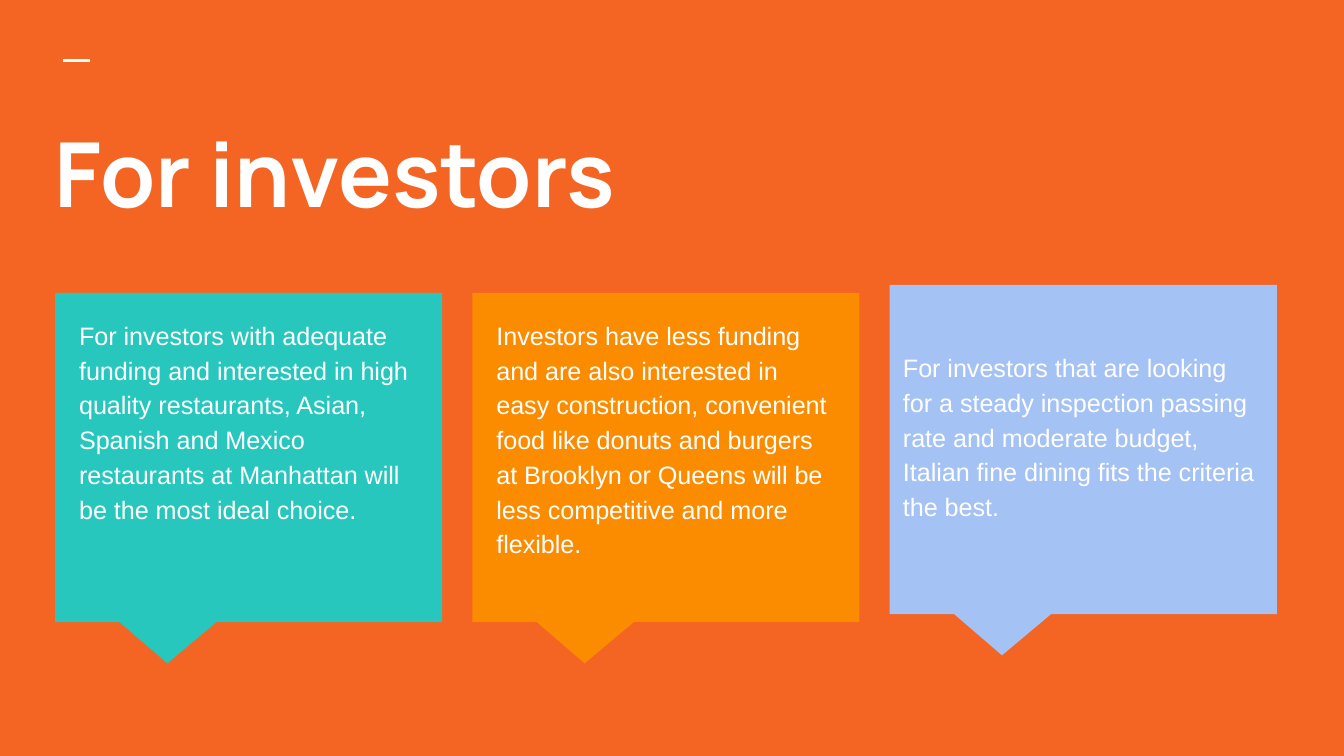
from lxml.etree import SubElement
from pptx import Presentation
from pptx.dml.color import RGBColor
from pptx.enum.shapes import MSO_CONNECTOR, MSO_SHAPE
from pptx.enum.text import MSO_ANCHOR, PP_ALIGN
from pptx.oxml.ns import qn
from pptx.util import Inches, Pt

ORANGE = RGBColor(0xF4, 0x65, 0x24)
TEAL = RGBColor(0x27, 0xC7, 0xBD)
AMBER = RGBColor(0xFB, 0x8C, 0x00)
LIGHT_BLUE = RGBColor(0xA4, 0xC2, 0xF4)
WHITE = RGBColor(0xFF, 0xFF, 0xFF)

WIDTH = 10
HEIGHT = WIDTH * 9 / 16
FIRST_LEFT, LAST_LEFT = 0.41, 6.62
CARD_TOP, CARD_WIDTH, CARD_HEIGHT = 2.18, 2.88, 2.45
RAISE = 0.06
TEXT_INSET_X, TEXT_INSET_Y = 0.08, 0.07
TEXT_WIDTH, TEXT_HEIGHT = 2.71, 2.19

ADVICE = [
    (TEAL, "For investors with adequate funding and interested in high quality "
           "restaurants, Asian, Spanish and Mexico restaurants at Manhattan will "
           "be the most ideal choice."),
    (AMBER, "Investors have less funding and are also interested in easy "
            "construction, convenient food like donuts and burgers at Brooklyn or "
            "Queens will be less competitive and more flexible."),
    (LIGHT_BLUE, "For investors that are looking for a steady inspection passing "
                 "rate and moderate budget, Italian fine dining fits the criteria "
                 "the best."),
]


def write(frame, words, font_name, size, spacing=1.0, bold=False,
          anchor=MSO_ANCHOR.TOP, right=0.1, bottom=0.1):
    frame.word_wrap = True
    frame.vertical_anchor = anchor
    frame.margin_left = frame.margin_top = Inches(0.1)
    frame.margin_right = Inches(right)
    frame.margin_bottom = Inches(bottom)
    paragraph = frame.paragraphs[0]
    paragraph.alignment = PP_ALIGN.LEFT
    paragraph.line_spacing = spacing
    run = paragraph.add_run()
    run.text = words
    run.font.name = font_name
    run.font.size = Pt(size)
    run.font.bold = bold
    run.font.color.rgb = WHITE


def box(left, top, width, height):
    return [Inches(length) for length in (left, top, width, height)]


deck = Presentation()
deck.slide_width, deck.slide_height = Inches(WIDTH), Inches(HEIGHT)
slide = deck.slides.add_slide(deck.slide_layouts[6])
slide.background.fill.solid()
slide.background.fill.fore_color.rgb = ORANGE

dash = slide.shapes.add_connector(
    MSO_CONNECTOR.STRAIGHT,
    Inches(0.47), Inches(0.45), Inches(0.67), Inches(0.45))
dash.line.color.rgb = WHITE
dash.line.width = Pt(1.5)
SubElement(dash._element.spPr, qn("a:effectLst"))

heading = slide.shapes.add_textbox(*box(0.31, 0.78, 9.43, 1.12))
write(heading.text_frame, "For investors", "Manrope", 48, bold=True)

pitch = (LAST_LEFT - FIRST_LEFT) / (len(ADVICE) - 1)
for column, (color, advice) in enumerate(ADVICE):
    raised = color == LIGHT_BLUE
    left = FIRST_LEFT + column * pitch
    top = CARD_TOP - RAISE * raised
    card = slide.shapes.add_shape(
        MSO_SHAPE.RECTANGULAR_CALLOUT, *box(left, top, CARD_WIDTH, CARD_HEIGHT))
    card.adjustments[0], card.adjustments[1] = -0.21, 0.625
    card.shadow.inherit = False
    card.fill.solid()
    card.fill.fore_color.rgb = color
    card.line.fill.background()
    if raised:
        write(card.text_frame, advice, "Arial", 13.5, 1.15,
              anchor=MSO_ANCHOR.MIDDLE, right=0.13, bottom=0.32)
    else:
        caption = slide.shapes.add_textbox(
            *box(left + TEXT_INSET_X, top + TEXT_INSET_Y, TEXT_WIDTH, TEXT_HEIGHT))
        write(caption.text_frame, advice, "Arial", 13.5, 1.15)

deck.save("out.pptx")
